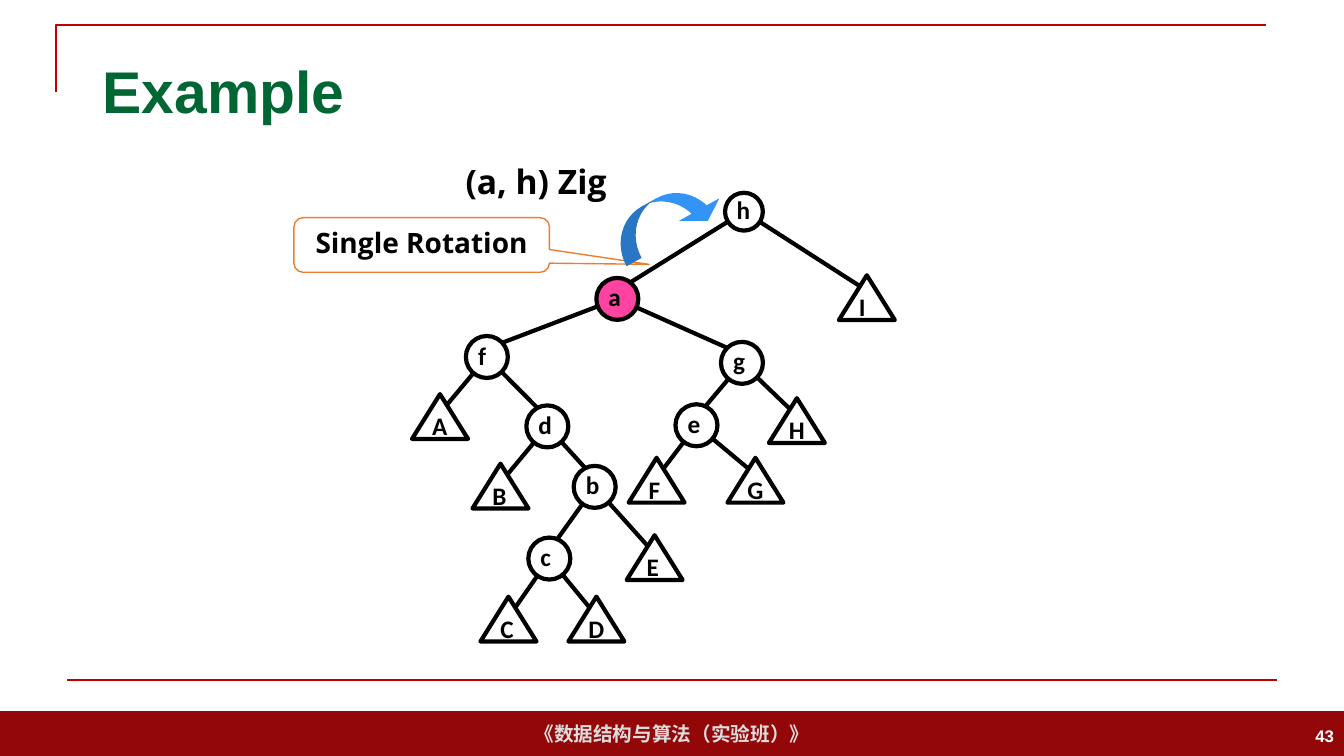
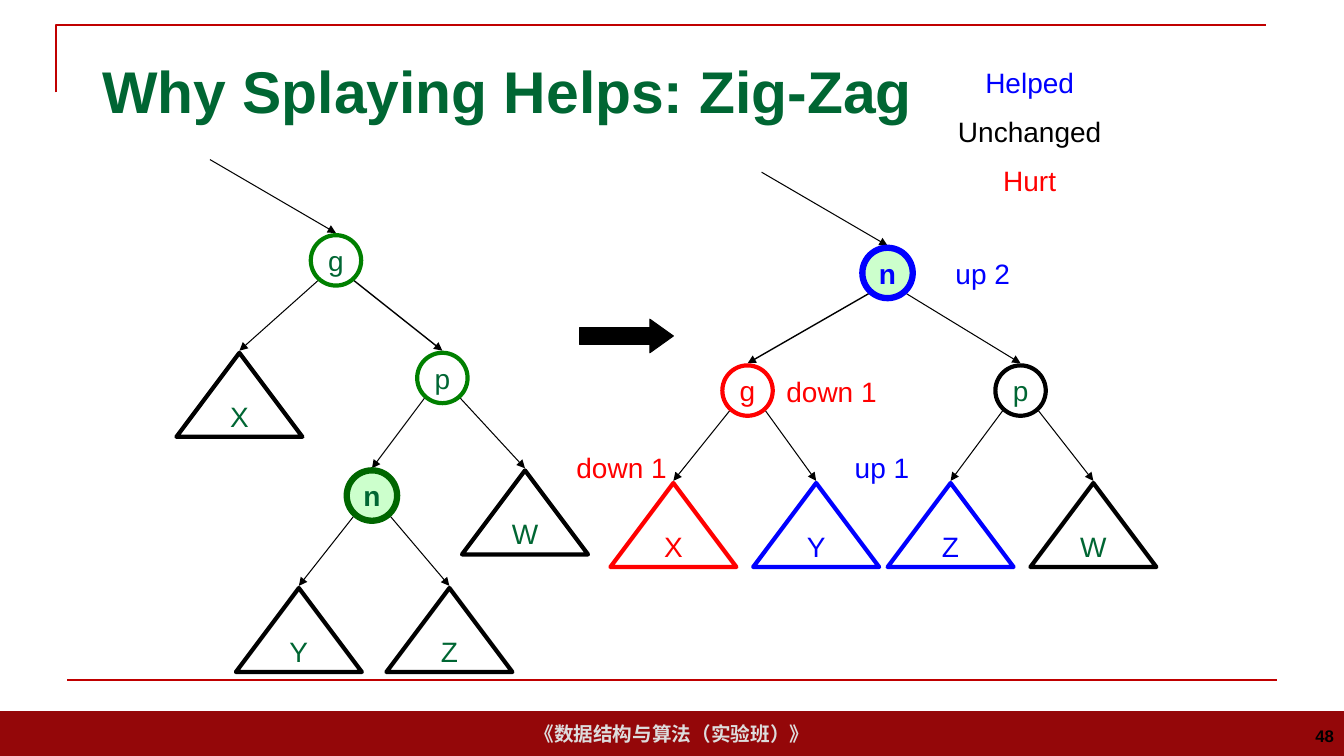
from lxml import etree
from pptx import Presentation
from pptx.dml.color import RGBColor
from pptx.enum import shapes, text
from pptx.oxml import ns
from pptx.util import Pt

MSO = shapes.MSO_SHAPE
LEFT, CENTER, RIGHT = text.PP_ALIGN.LEFT, text.PP_ALIGN.CENTER, text.PP_ALIGN.RIGHT
TOP, MIDDLE = text.MSO_ANCHOR.TOP, text.MSO_ANCHOR.MIDDLE
BLACK, WHITE, GREEN = "000000", "FFFFFF", "006633"
BLUE, RED, MINT = "0000FF", "FF0000", "CCFFCC"
BAND, RULE = "940709", "C00000"


def paint(fmt, color):
    """Fill with a hex colour, or leave empty when there is none."""
    if color:
        fmt.solid()
        fmt.fore_color.rgb = RGBColor.from_string(color)
    else:
        fmt.background()


def write(tf, content, size=20, font="Arial", color=BLACK, bold=False, align=CENTER,
          anchor=MIDDLE, wrap=True, before=0, insets=None):
    """Write a string, or a list of (string, colour) paragraphs."""
    tf.word_wrap, tf.vertical_anchor = wrap, anchor
    if insets:
        tf.margin_left, tf.margin_top, tf.margin_right, tf.margin_bottom = map(Pt, insets)
    lines = [(content, color)] if isinstance(content, str) else content
    for i, (line, shade) in enumerate(lines):
        p = tf.add_paragraph() if i else tf.paragraphs[0]
        p.alignment = align
        if i:
            p.space_before = Pt(before)
        r = p.add_run()
        r.text = line
        r.font.name, r.font.size, r.font.bold = font, Pt(size), bold
        r.font.color.rgb = RGBColor.from_string(shade)


class Deck:
    """Hold the shared style and the current slide."""

    def __init__(self):
        """Start a widescreen presentation."""
        self.prs = Presentation()
        self.prs.slide_width, self.prs.slide_height = Pt(960), Pt(540)
        self.slide = None

    def new_slide(self, title, number, number_color):
        """Add a slide with its title, rules and footer."""
        self.slide = self.prs.slides.add_slide(self.prs.slide_layouts[5])
        self.shape(MSO.RECTANGLE, 0, 508, 960, 32, BAND, label="《数据结构与算法（实验班）》",
                   size=14, color="DDDDDD", bold=True, wrap=False)
        fb = self.slide.shapes.build_freeform(Pt(40.3), Pt(66))
        fb.add_line_segments([(Pt(40.3), Pt(18)), (Pt(904), Pt(18))], close=False)
        self.finish(fb.convert_to_shape(), None, RULE, 1.5)
        self.line((48, 486), (912, 486), RULE, 1.5)
        sp = self.slide.shapes.title
        sp.left, sp.top, sp.width, sp.height = map(Pt, (66, 29, 828, 71))
        write(sp.text_frame, title, size=42, color=GREEN, bold=True, align=LEFT)
        self.label(number, 744, 511, 216, 29, size=12, color=number_color, bold=True,
                   align=RIGHT, anchor=MIDDLE)

    def finish(self, sp, fill, line, weight):
        """Set fill and outline and drop the shadow."""
        sp.shadow.inherit = False
        paint(sp.fill, fill)
        paint(sp.line.fill, line)
        if line:
            sp.line.width = Pt(weight)

    def shape(self, kind, x, y, w, h, fill=None, line=None, weight=3, adj=(), label=None, **fmt):
        """Add a preset shape with optional text."""
        sp = self.slide.shapes.add_shape(kind, Pt(x), Pt(y), Pt(w), Pt(h))
        for i, value in enumerate(adj):
            sp.adjustments[i] = value
        self.finish(sp, fill, line, weight)
        if label:
            write(sp.text_frame, label, **fmt)
        return sp

    def label(self, content, x, y, w, h, **fmt):
        """Add a text box."""
        sp = self.slide.shapes.add_textbox(Pt(x), Pt(y), Pt(w), Pt(h))
        write(sp.text_frame, content, **{"anchor": TOP, **fmt})

    def line(self, start, end, color=BLACK, weight=3, arrow=False):
        """Add a straight line or arrow."""
        c = self.slide.shapes.add_connector(shapes.MSO_CONNECTOR.STRAIGHT,
                                            *map(Pt, (*start, *end)))
        paint(c.line.fill, color)
        c.line.width = Pt(weight)
        sp_pr = c.element.spPr
        if arrow:
            etree.SubElement(sp_pr.find(ns.qn("a:ln")), ns.qn("a:tailEnd"), type="triangle")
        etree.SubElement(sp_pr, ns.qn("a:effectLst"))

    def node(self, name, x, top, circle, triangle, **fmt):
        """Add a circle for a lower-case name, else a subtree triangle."""
        kind, (w, h) = (MSO.OVAL, circle) if name.islower() else (MSO.ISOSCELES_TRIANGLE, triangle)
        self.shape(kind, x - w / 2, top, w, h, label=name, wrap=False, **fmt)

    def solid_tree(self, nodes, edges, fills):
        """Draw a tree with thick edges; nodes hold circle centres or triangle tips."""
        for parent, child in edges.split():
            (px, py), (cx, cy) = nodes[parent], nodes[child]
            toward = 4.7 if px > cx else -4.7
            self.line((px, py), (cx, cy - 6) if child.islower() else (cx + toward, cy + 8))
        for name, (x, y) in nodes.items():
            d = 27 if name == "h" else 30
            self.node(name, x, y - d / 2 if name.islower() else y, (d, d), (40, 32),
                      fill=fills.get(name, WHITE), line=BLACK, size=18, font="Calibri",
                      bold=True, align=LEFT, insets=(4.3, 0.7, 7.2, 3.6))

    def arrow_tree(self, top, nodes, edges, heavy, styles):
        """Draw a tree with arrows; nodes hold a centre and a depth."""
        spots = {name: (x, top + 84 * depth) for name, (x, depth) in nodes.items()}
        x, y = next(iter(spots.values()))
        self.line((x - 90, y - 54), (x, y - 1.5), weight=0.75, arrow=True)
        for edge in edges.split():
            (px, py), (cx, cy) = (spots[name] for name in edge)
            side = 12.7 if cx > px else -12.7
            self.line((px + side, py + 32.3), (cx, cy - 1.5),
                      weight=1 if edge == heavy else 0.75, arrow=True)
        for name, (x, y) in spots.items():
            line, color = styles.get(name, (BLACK, GREEN))
            focus = name == "n"
            self.node(name, x, y, (36, 36), (90, 60), fill=MINT if focus else None,
                      line=line, weight=4.5 if focus else 3, color=color, bold=focus)


def single_rotation(deck):
    """Build the zig example."""
    deck.new_slide("Example", "43", WHITE)
    nodes = {
        "h": (531.4, 151.2), "a": (441, 213.5), "f": (347.8, 255), "g": (530, 259.2),
        "e": (497.5, 303.8), "d": (391, 304.6), "b": (424.8, 347.8), "c": (392.4, 399),
        "I": (619.2, 196.6), "H": (569.2, 284.4), "G": (539.6, 327), "F": (469, 327),
        "A": (314.3, 281.5), "B": (357.5, 331.2), "E": (467.6, 382.3),
        "C": (363.2, 426.2), "D": (426, 426.2),
    }
    deck.solid_tree(nodes, "ha hI af ag fA fd dB db bc bE cC cD ge gH eF eG", {"a": "FF43A1"})
    deck.shape(MSO.ROUNDED_RECTANGULAR_CALLOUT, 210, 155.5, 182.5, 39, WHITE, "ED7D31", 1,
               (0.89, 0.355, 0.167), "Single Rotation", font="Open Sans", bold=True, anchor=TOP)
    deck.label("(a, h) Zig", 325.5, 111.6, 158, 36, size=24, font="Open Sans", bold=True,
               align=LEFT)
    turn = deck.shape(MSO.CURVED_LEFT_ARROW, 460, 114.5, 32, 83, "3494F5",
                      adj=(0.385, 1.026, 0.315))
    turn.rotation = 240.8


def zig_zag(deck):
    """Build the zig-zag comparison."""
    deck.new_slide("Why Splaying Helps: Zig-Zag", "48", BLACK)
    deck.shape(MSO.RIGHT_ARROW, 414, 228, 67, 24, BLACK, BLACK, 0.75, (0.5, 0.7))
    before = {"g": (240, 0), "X": (171, 1), "p": (316, 1), "n": (265.7, 2), "W": (375, 2),
              "Y": (213.5, 3), "Z": (321, 3)}
    deck.arrow_tree(168, before, "gX gp pn pW nY nZ", "gp",
                    {"g": ("008000", GREEN), "p": ("008000", GREEN), "n": ("006600", GREEN)})
    after = {"n": (634, 0), "g": (534, 1), "p": (729, 1), "X": (481, 2), "Y": (583, 2),
             "Z": (679, 2), "W": (781, 2)}
    helped, hurt = (BLUE, BLUE), (RED, RED)
    deck.arrow_tree(177, after, "ng np gX gY pZ pW", "ng",
                    {"n": helped, "Y": helped, "Z": helped, "g": hurt, "X": hurt})
    deck.label([("Helped", BLUE), ("Unchanged", BLACK), ("Hurt", RED)],
               672.5, 43.5, 126, 104, before=11)
    for change, x, y, color in (("up 2", 660, 180, BLUE), ("down 1", 552, 264, RED),
                                ("up 1", 588, 318, BLUE), ("down 1", 402, 318, RED)):
        deck.label(change, x, y, 84, 32, color=color)


def main():
    """Build and save the deck."""
    deck = Deck()
    single_rotation(deck)
    zig_zag(deck)
    deck.prs.save("out.pptx")


if __name__ == "__main__":
    main()
